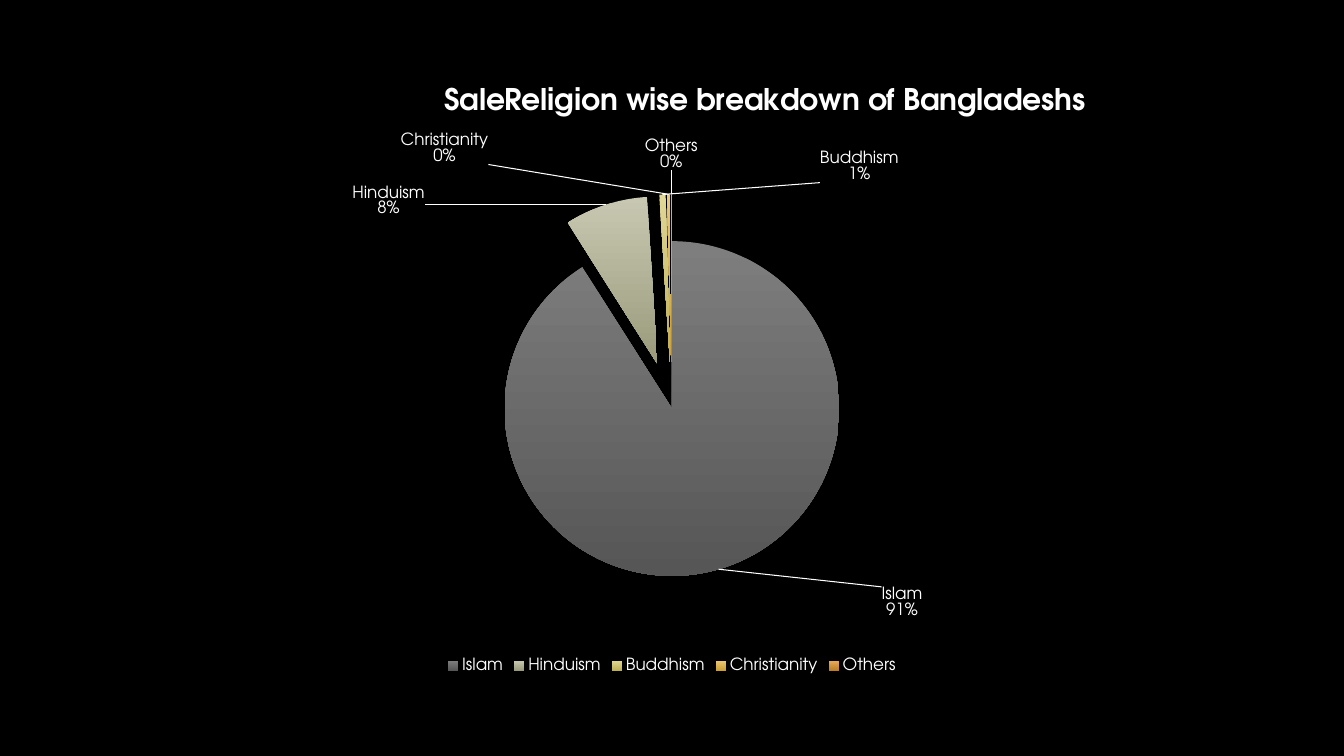
from copy import deepcopy
from dataclasses import dataclass

from pptx import Presentation
from pptx.chart.chart import Chart
from pptx.chart.data import CategoryChartData
from pptx.dml.color import RGBColor
from pptx.enum import chart as chart_enum
from pptx.oxml import parse_xml
from pptx.oxml import ns
from pptx.util import Pt

FONT = "TeX Gyre Adventor"
WHITE = "FFFFFF"
TITLE = "SaleReligion wise breakdown of Bangladeshs"
EXPLOSION = 28


@dataclass(frozen=True)
class Slice:
    religion: str
    percent: float
    top_color: str
    bottom_color: str
    label_dx: float  # label shift, as a share of the chart's width
    label_dy: float  # label shift, as a share of the chart's height
    explosion: int = EXPLOSION


# The smallest shares need a fraction: a slice of exactly zero gets no label.
SLICES = [
    Slice("Islam", 91, "7E7E7E", "565656", 0.18, 0.02, explosion=0),
    Slice("Hinduism", 8, "C8C8B2", "9A9A7B", -0.2, 0.03),
    Slice("Buddhism", 0.6, "E1D797", "BDAF55", 0.22, -0.01),
    Slice("Christianity", 0.3, "EAC778", "CC9F32", -0.25, -0.04),
    Slice("Others", 0.1, "EBAB5C", "BD7E25", 0, -0.03),
]


def rgb(color: str) -> RGBColor:
    return RGBColor.from_string(color)


def style_font(font, size: float, bold: bool = False) -> None:
    font.name = FONT
    font.size = Pt(size)
    font.bold = bold
    font.color.rgb = rgb(WHITE)


def chart_xml(body: str):
    """Parse a chart element whose root carries a {ns} mark for namespaces."""
    return parse_xml(body.replace("{ns}", ns.nsdecls("c", "a")))


def layout_xml(x: float, y: float, size: tuple[float, float] | None = None,
               mode: str = "edge", target: str = ""):
    modes = f'<c:xMode val="{mode}"/><c:yMode val="{mode}"/>' if mode else ""
    extent = f'<c:w val="{size[0]}"/><c:h val="{size[1]}"/>' if size else ""
    return chart_xml(f'<c:layout {{ns}}><c:manualLayout>{target}{modes}'
                     f'<c:x val="{x}"/><c:y val="{y}"/>{extent}'
                     '</c:manualLayout></c:layout>')


def set_layout(parent, layout, after: str | None = None) -> None:
    """Replace the layout of parent, placing it after the named child."""
    for old in parent.findall(ns.qn("c:layout")):
        parent.remove(old)
    if after is None:
        parent.insert(0, layout)
    else:
        parent.find(ns.qn(after)).addnext(layout)


def add_title(chart: Chart) -> None:
    chart.has_title = True
    run = chart.chart_title.text_frame.paragraphs[0].add_run()
    run.text = TITLE
    style_font(run.font, 21.3, bold=True)
    set_layout(chart.chart_title._element, layout_xml(0.24, 0), after="c:tx")


def add_legend(chart: Chart) -> None:
    chart.has_legend = True
    chart.legend.position = chart_enum.XL_LEGEND_POSITION.BOTTOM
    chart.legend.include_in_layout = False
    style_font(chart.legend.font, 12)


def format_slices(chart: Chart) -> None:
    series = chart.plots[0].series[0]
    for index, part in enumerate(SLICES):
        point = series.points[index]
        fill = point.format.fill
        fill.gradient()
        fill.gradient_angle = 270
        for stop, color in zip(fill.gradient_stops, (part.top_color, part.bottom_color)):
            stop.color.rgb = rgb(color)
        point.format.line.fill.background()
        shape_properties = series._element.findall(ns.qn("c:dPt"))[index].find(ns.qn("c:spPr"))
        shape_properties.addprevious(
            chart_xml(f'<c:explosion {{ns}} val="{part.explosion}"/>'))


def add_labels(chart: Chart) -> None:
    labels = chart.plots[0].series[0].data_labels
    labels.show_value = False
    labels.show_category_name = True
    labels.show_percentage = True
    labels.number_format = "0%"
    labels.number_format_is_linked = False
    labels.position = chart_enum.XL_LABEL_POSITION.BEST_FIT
    style_font(labels.font, 12)
    element = labels._element
    leader_switch = element.find(ns.qn("c:showLeaderLines"))
    if leader_switch is None:
        leader_switch = chart_xml('<c:showLeaderLines {ns}/>')
        element.append(leader_switch)
    leader_switch.set("val", "1")
    leader_switch.addprevious(chart_xml('<c:separator {ns}>\n</c:separator>'))
    leader_switch.addnext(chart_xml(
        '<c:leaderLines {ns}><c:spPr><a:ln w="9525"><a:solidFill>'
        f'<a:srgbClr val="{WHITE}"/></a:solidFill></a:ln></c:spPr></c:leaderLines>'))

    shared = [child for child in element
              if child.tag not in (ns.qn("c:showLeaderLines"), ns.qn("c:leaderLines"))]
    for index, part in enumerate(SLICES):
        label = chart_xml(f'<c:dLbl {{ns}}><c:idx val="{index}"/></c:dLbl>')
        label.append(layout_xml(part.label_dx, part.label_dy, mode=""))
        label.extend(deepcopy(shared))
        element.insert(index, label)


def add_religion_chart(slide) -> None:
    data = CategoryChartData(number_format="0")
    data.categories = [part.religion for part in SLICES]
    data.add_series(TITLE, [part.percent for part in SLICES])
    frame = slide.shapes.add_chart(chart_enum.XL_CHART_TYPE.PIE, Pt(160), Pt(57),
                                   Pt(640), Pt(427), data)
    chart = frame.chart
    style_font(chart.font, 10)
    chart.plots[0].vary_by_categories = True
    add_title(chart)
    add_legend(chart)
    format_slices(chart)
    add_labels(chart)
    plot_area = chart._chartSpace.chart.plotArea
    set_layout(plot_area, layout_xml(0.31, 0.27, (0.38, 0.56),
                                     target='<c:layoutTarget val="inner"/>'))


def main() -> None:
    presentation = Presentation()
    presentation.slide_width = Pt(960)
    presentation.slide_height = Pt(540)
    slide = presentation.slides.add_slide(presentation.slide_layouts[6])
    background = slide.background.fill
    background.solid()
    background.fore_color.rgb = rgb("000000")
    add_religion_chart(slide)
    presentation.save("out.pptx")


if __name__ == "__main__":
    main()
